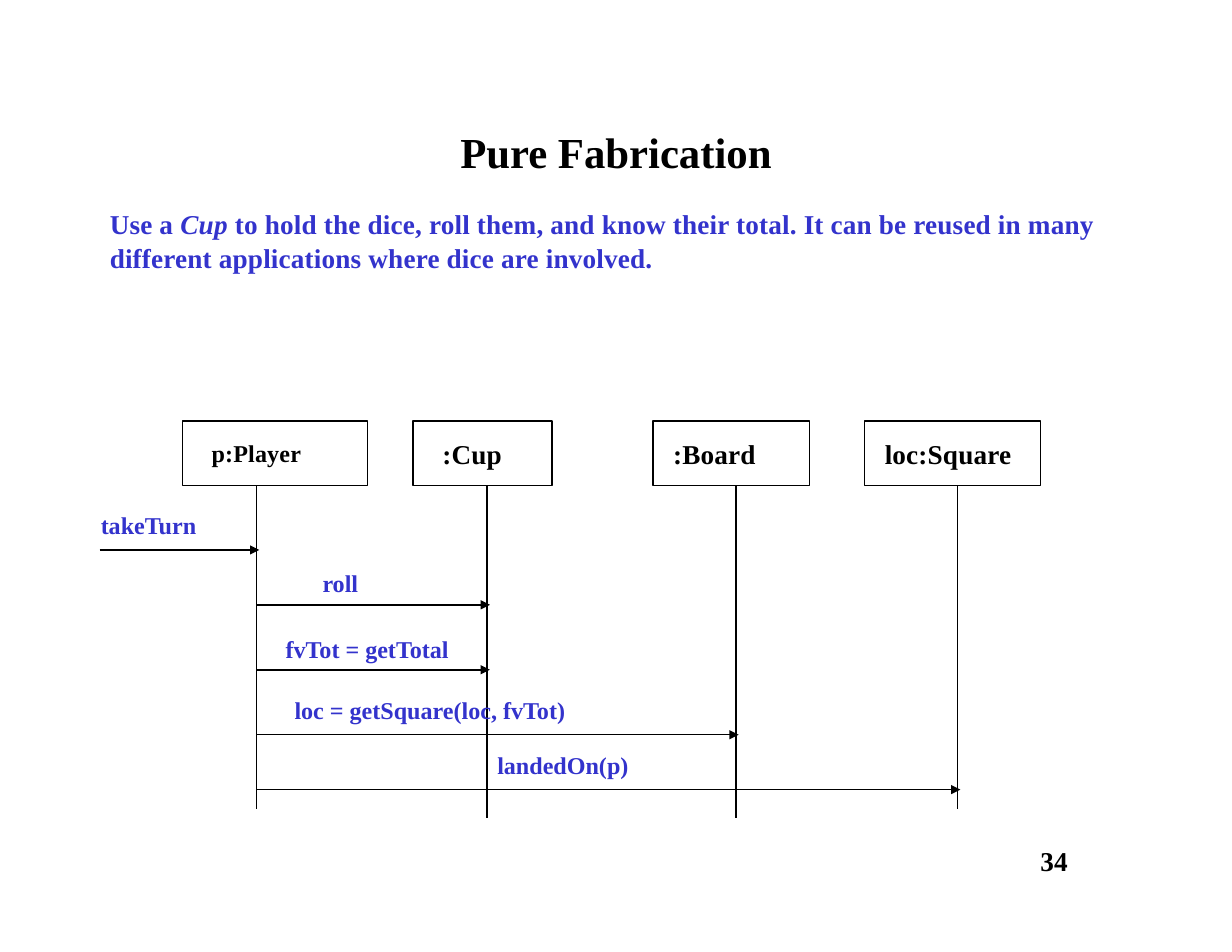
from lxml import etree
from pptx import Presentation
from pptx.dml.color import RGBColor
from pptx.enum.shapes import MSO_CONNECTOR, MSO_SHAPE
from pptx.enum.text import MSO_ANCHOR, PP_ALIGN
from pptx.oxml.ns import qn
from pptx.util import Inches, Pt

STRAIGHT = MSO_CONNECTOR.STRAIGHT
RECTANGLE = MSO_SHAPE.RECTANGLE
MIDDLE = MSO_ANCHOR.MIDDLE
LEFT, CENTER = PP_ALIGN.LEFT, PP_ALIGN.CENTER
BLACK, BLUE = "000000", "3333CC"

presentation = Presentation()
presentation.slide_width = Inches(11)
presentation.slide_height = Inches(8.5)
COLUMN = presentation.slide_width / 44
ROW = presentation.slide_height / 34
slide = presentation.slides.add_slide(presentation.slide_layouts[1])


def write(shape, *texts, size=15.5, color=BLUE, align=LEFT, indent=0, wrap=True, italic="", spacing=10):
    frame = shape.text_frame
    frame.margin_left = int(indent * COLUMN)
    frame.margin_right = frame.margin_top = frame.margin_bottom = 0
    frame.vertical_anchor = MIDDLE
    frame.word_wrap = wrap
    paragraph = frame.paragraphs[0]
    properties = paragraph._p.get_or_add_pPr()
    properties.set("marL", "0")
    properties.set("indent", "0")
    etree.SubElement(properties, qn("a:buNone"))
    paragraph.alignment = align
    paragraph.space_before = Pt(0)
    for text in texts:
        run = paragraph.add_run()
        run.text = text
        run.font.name = "Times New Roman"
        run.font.size = Pt(size)
        run.font.bold = True
        run.font.italic = text == italic
        run.font.color.rgb = RGBColor.from_string(color)
        run._r.get_or_add_rPr().set("spc", str(spacing))


def draw_line(left, top, right, bottom, arrow=False):
    line = slide.shapes.add_connector(
        STRAIGHT, int(left * COLUMN), int(top * ROW), int(right * COLUMN), int(bottom * ROW))
    line.line.color.rgb = RGBColor.from_string(BLACK)
    line.line.width = Pt(1)
    if arrow:
        etree.SubElement(line.line._get_or_add_ln(), qn("a:tailEnd"), type="triangle")
    etree.SubElement(line._element.spPr, qn("a:effectLst"))


title, body = slide.placeholders
title.left, title.top = int(10 * COLUMN), int(4.3 * ROW)
title.width, title.height = int(24 * COLUMN), int(2.2 * ROW)
write(title, "Pure Fabrication", size=27.5, color=BLACK, align=CENTER, spacing=0)

body.left, body.top = int(3.92 * COLUMN), int(7.32 * ROW)
body.width, body.height = int(35.8 * COLUMN), int(2.5 * ROW)
write(body, "Use a ", "Cup", " to hold the dice, roll them, and know their total. It can be reused in many "
      "different applications where dice are involved.", size=17.5, italic="Cup")
body.text_frame.paragraphs[0].line_spacing = 1.04

BOX_TOP, BOX_HEIGHT = 15.04, 2.3
objects = [
    ("p:Player", 6.52, 6.6, 1.04, 15.5, 9.16, 28.88),
    (":Cup", 14.76, 4.96, 1.04, 17.5, 17.4, 29.2),
    (":Board", 23.32, 5.6, 0.72, 17.5, 26.28, 29.2),
    ("loc:Square", 30.88, 6.28, 0.72, 17.5, 34.2, 28.88),
]
lifelines = {}
for name, left, width, indent, size, lifeline, bottom in objects:
    box = slide.shapes.add_shape(
        RECTANGLE, int(left * COLUMN), int(BOX_TOP * ROW), int(width * COLUMN), int(BOX_HEIGHT * ROW))
    box.shadow.inherit = False
    box.fill.background()
    box.line.color.rgb = RGBColor.from_string(BLACK)
    box.line.width = Pt(1)
    write(box, name, size=size, color=BLACK, indent=indent)
    draw_line(lifeline, BOX_TOP + BOX_HEIGHT, lifeline, bottom)
    lifelines[name] = lifeline

PLAYER = lifelines["p:Player"]
HEAD_OVERLAP = 0.1
messages = [
    ("takeTurn", 3.56, "p:Player", 19.64, 3.6, 18.76),
    ("roll", PLAYER, ":Cup", 21.6, 11.52, 20.8),
    ("fvTot = getTotal", PLAYER, ":Cup", 23.92, 10.2, 23.16),
    ("loc = getSquare(loc, fvTot)", PLAYER, ":Board", 26.24, 10.52, 25.36),
    ("landedOn(p)", PLAYER, "loc:Square", 28.2, 17.76, 27.32),
]
for text, start, target, arrow_row, label_left, label_row in messages:
    draw_line(start, arrow_row, lifelines[target] + HEAD_OVERLAP, arrow_row, arrow=True)
    label = slide.shapes.add_textbox(
        int(label_left * COLUMN), int((label_row - 0.6) * ROW), int(10.4 * COLUMN), int(1.2 * ROW))
    write(label, text, wrap=False, spacing=0)

page_number = slide.shapes.add_textbox(
    int(37.16 * COLUMN), int(30.08 * ROW), int(1.2 * COLUMN), int(1.32 * ROW))
write(page_number, "34", size=17.5, color=BLACK, wrap=False)

presentation.save("out.pptx")
